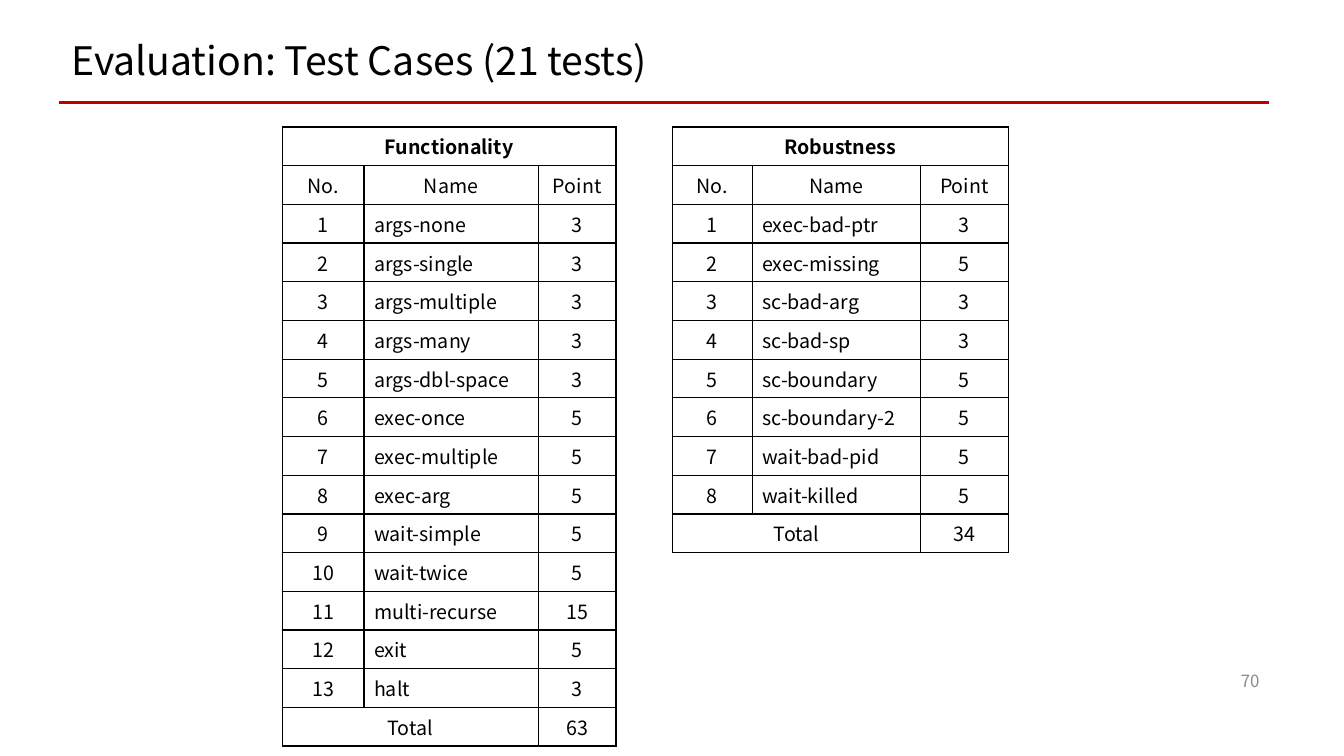
from lxml.etree import SubElement
from pptx import Presentation
from pptx.dml.color import RGBColor
from pptx.enum.shapes import MSO_CONNECTOR
from pptx.enum.text import MSO_ANCHOR, PP_ALIGN
from pptx.oxml.ns import qn
from pptx.util import Inches, Pt

FONT = "Noto Sans CJK KR"
COLORS = {"text": "000000", "rule": "C00000", "number": "8C8C8C"}

FUNCTIONALITY = [
    ("args-none", 3), ("args-single", 3), ("args-multiple", 3),
    ("args-many", 3), ("args-dbl-space", 3), ("exec-once", 5),
    ("exec-multiple", 5), ("exec-arg", 5), ("wait-simple", 5),
    ("wait-twice", 5), ("multi-recurse", 15), ("exit", 5), ("halt", 3),
]
ROBUSTNESS = [
    ("exec-bad-ptr", 3), ("exec-missing", 5), ("sc-bad-arg", 3),
    ("sc-bad-sp", 3), ("sc-boundary", 5), ("sc-boundary-2", 5),
    ("wait-bad-pid", 5), ("wait-killed", 5),
]


def add_run(p, text, size, color="text", bold=False):
    """Add one styled run to a paragraph."""
    r = p.add_run()
    r.text = text
    r.font.name = FONT
    r.font.size = Pt(size)
    r.font.bold = bold
    r.font.color.rgb = RGBColor.from_string(COLORS[color])


def add_text(s, box, text, size, color, align, anchor, spacing=1.0):
    """Add a one-line text box."""
    tf = s.shapes.add_textbox(*map(Inches, box)).text_frame
    tf.word_wrap = True
    tf.vertical_anchor = anchor
    tf.margin_top = tf.margin_bottom = 0
    p = tf.paragraphs[0]
    p.alignment = align
    p.line_spacing = spacing
    add_run(p, text, size, color)


def add_rule(s, left, right, y):
    """Add the horizontal line under the title."""
    line = s.shapes.add_connector(
        MSO_CONNECTOR.STRAIGHT, Inches(left), Inches(y), Inches(right), Inches(y))
    line.line.color.rgb = RGBColor.from_string(COLORS["rule"])
    line.line.width = Pt(2.25)
    SubElement(line._element.spPr, qn("a:effectLst"))


def style_cell(cell):
    """Give a cell thin borders on all sides and no fill."""
    tcPr = cell._tc.get_or_add_tcPr()
    for side in ("lnL", "lnR", "lnT", "lnB"):
        ln = SubElement(tcPr, qn(f"a:{side}"), w=str(Pt(1)))
        fill = SubElement(ln, qn("a:solidFill"))
        SubElement(fill, qn("a:srgbClr"), val=COLORS["text"])
    cell.fill.background()
    cell.vertical_anchor = MSO_ANCHOR.MIDDLE


def add_score_table(s, left, widths, row_height, heading, tests):
    """Add a table of numbered tests with their points and total."""
    total = sum(point for _, point in tests)
    rows = [(heading, "", ""), ("No.", "Name", "Point")]
    rows += [(i, name, point) for i, (name, point) in enumerate(tests, 1)]
    rows.append(("Total", "", total))
    table = s.shapes.add_table(
        len(rows), 3, Inches(left), Inches(1.26),
        Inches(sum(widths)), Inches(row_height * len(rows))).table
    table.first_row = table.horz_banding = False
    for column, width in zip(table.columns, widths):
        column.width = Inches(width)
    last = len(rows) - 1
    for i, row in enumerate(rows):
        table.rows[i].height = Inches(row_height)
        for j, value in enumerate(row):
            cell = table.cell(i, j)
            style_cell(cell)
            p = cell.text_frame.paragraphs[0]
            is_name = j == 1 and 1 < i < last
            p.alignment = PP_ALIGN.LEFT if is_name else PP_ALIGN.CENTER
            if value != "":
                add_run(p, str(value), 14, bold=i == 0)
    table.cell(0, 0).merge(table.cell(0, 2))
    table.cell(last, 0).merge(table.cell(last, 1))


def main():
    """Build the slide and save it."""
    prs = Presentation()
    prs.slide_width, prs.slide_height = Inches(13.33), Inches(7.5)
    s = prs.slides.add_slide(prs.slide_layouts[6])
    add_score_table(s, 2.8, (0.81, 1.73, 0.77), 0.37, "Functionality", FUNCTIONALITY)
    add_score_table(s, 6.67, (0.79, 1.67, 0.87), 0.36, "Robustness", ROBUSTNESS)
    add_text(s, (0.61, 0.41, 11.5, 0.53), "Evaluation: Test Cases (21 tests)",
             28, "text", PP_ALIGN.LEFT, MSO_ANCHOR.TOP, 0.9)
    add_rule(s, 0.59, 12.59, 1.02)
    add_text(s, (12.1, 6.55, 0.49, 0.4), "70",
             12, "number", PP_ALIGN.RIGHT, MSO_ANCHOR.MIDDLE)
    prs.save("out.pptx")


if __name__ == "__main__":
    main()
